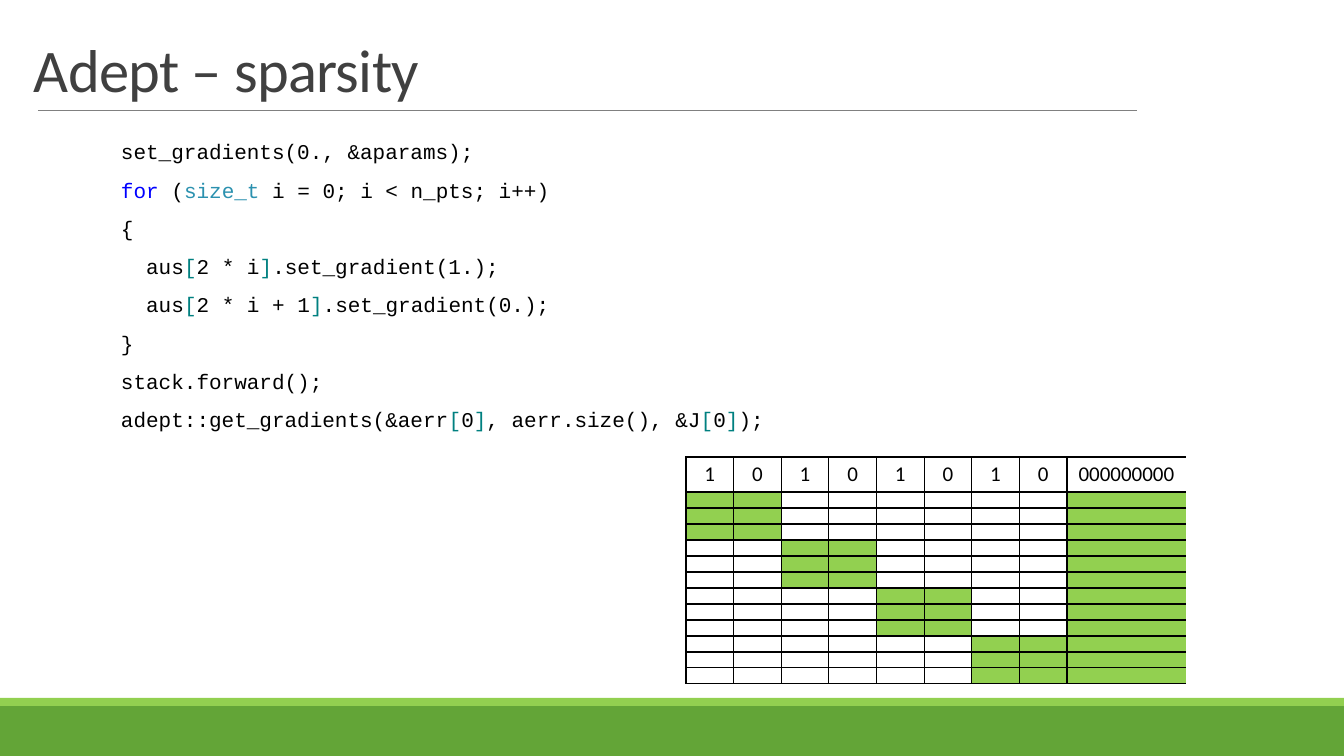
from dataclasses import dataclass

from lxml.etree import SubElement
from pptx import Presentation
from pptx.dml.color import RGBColor
from pptx.enum.shapes import MSO_CONNECTOR, MSO_SHAPE
from pptx.enum.text import MSO_ANCHOR, PP_ALIGN
from pptx.oxml.ns import qn
from pptx.util import Emu, Pt

EMU_PER_PX = 914400 / 100.8


@dataclass(frozen=True)
class Theme:
    heading: str = "404040"
    text: str = "000000"
    rule: str = "808080"
    dark_green: str = "63A537"
    light_green: str = "92D050"
    keyword: str = "0000FF"
    type_name: str = "2B91AF"
    bracket: str = "008080"
    sans: str = "Calibri"
    mono: str = "Courier New"
    title_size: float = 43.2
    body_size: float = 15
    empty_size: float = 6


@dataclass(frozen=True)
class Box:
    left: int
    top: int
    width: int
    height: int

    def emu(self) -> tuple[Emu, Emu, Emu, Emu]:
        return px(self.left), px(self.top), px(self.width), px(self.height)


@dataclass(frozen=True)
class Band:
    box: Box
    color: str


THEME = Theme()
BANDS = (
    Band(Box(0, 706, 1344, 50), THEME.dark_green),
    Band(Box(0, 698, 1344, 8), THEME.light_green),
)
TOKEN_COLORS = {
    "for ": THEME.keyword,
    "size_t": THEME.type_name,
    "[": THEME.bracket,
    "]": THEME.bracket,
}
CODE = """set_gradients(0., &aparams);
for (size_t i = 0; i < n_pts; i++)
{
  aus[2 * i].set_gradient(1.);
  aus[2 * i + 1].set_gradient(0.);
}
stack.forward();
adept::get_gradients(&aerr[0], aerr.size(), &J[0]);"""
SEED = ["1", "0"] * 4 + ["000000000"]
BLOCK_ROWS, BLOCK_COLS = 3, 2
POINT_COLS = len(SEED) - 1
DATA_ROWS = POINT_COLS // BLOCK_COLS * BLOCK_ROWS


def px(length: int) -> Emu:
    return Emu(round(length * EMU_PER_PX))


def style_run(r, font: str, size: float, color: str) -> None:
    r.font.name = font
    r.font.size = Pt(size)
    r.font.color.rgb = RGBColor.from_string(color)


def add_band(slide, band: Band) -> None:
    sp = slide.shapes.add_shape(MSO_SHAPE.RECTANGLE, *band.box.emu())
    sp.shadow.inherit = False
    sp.fill.solid()
    sp.fill.fore_color.rgb = RGBColor.from_string(band.color)
    sp.line.fill.background()


def add_rule(slide, left: int, right: int, y: int) -> None:
    line = slide.shapes.add_connector(
        MSO_CONNECTOR.STRAIGHT, px(left), px(y), px(right), px(y))
    line.line.color.rgb = RGBColor.from_string(THEME.rule)
    line.line.width = Pt(0.5)
    SubElement(line._element.spPr, qn("a:effectLst"))


def add_title(slide, text: str, box: Box) -> None:
    tf = slide.shapes.add_textbox(*box.emu()).text_frame
    tf.word_wrap = True
    tf.vertical_anchor = MSO_ANCHOR.BOTTOM
    tf.text = text
    p = tf.paragraphs[0]
    p.line_spacing = 0.85
    r = p.runs[0]
    style_run(r, THEME.sans, THEME.title_size, THEME.heading)
    r.font._element.set("spc", "-50")


def split_tokens(line: str) -> list[str]:
    """Cut a code line before and after every coloured token."""
    for token in TOKEN_COLORS:
        line = line.replace(token, f"\n{token}\n")
    return [part for part in line.split("\n") if part]


def add_code(slide, code: str, box: Box) -> None:
    tf = slide.shapes.add_textbox(*box.emu()).text_frame
    tf.word_wrap = True
    tf.margin_left = tf.margin_right = 0
    tf.margin_top = px(8)
    for i, line in enumerate(code.splitlines()):
        p = tf.add_paragraph() if i else tf.paragraphs[0]
        p.line_spacing = 0.74
        p.space_before = Pt(12 if i else 0)
        p.space_after = Pt(2)
        for token in split_tokens(line):
            r = p.add_run()
            r.text = token
            style_run(r, THEME.mono, THEME.body_size,
                      TOKEN_COLORS.get(token, THEME.text))


def set_borders(cell, open_right: bool) -> None:
    tc_pr = cell._tc.get_or_add_tcPr()
    for side in "LRTB":
        ln = SubElement(tc_pr, qn(f"a:ln{side}"), w=str(Pt(1)))
        if side == "R" and open_right:
            SubElement(ln, qn("a:noFill"))
        else:
            fill = SubElement(ln, qn("a:solidFill"))
            SubElement(fill, qn("a:srgbClr"), val=THEME.text)


def is_nonzero(row: int, col: int) -> bool:
    """Tell whether a cell lies in a diagonal block or the dense last column."""
    if row == 0:
        return False
    return col == POINT_COLS or (row - 1) // BLOCK_ROWS == col // BLOCK_COLS


def fill_cell(cell, row: int, col: int) -> None:
    cell.margin_left = cell.margin_right = 0
    cell.margin_top = cell.margin_bottom = 0
    cell.vertical_anchor = MSO_ANCHOR.MIDDLE
    set_borders(cell, open_right=col == POINT_COLS)
    if is_nonzero(row, col):
        cell.fill.solid()
        cell.fill.fore_color.rgb = RGBColor.from_string(THEME.light_green)
    else:
        cell.fill.background()
    p = cell.text_frame.paragraphs[0]
    if row == 0:
        p.text = SEED[col]
        p.alignment = PP_ALIGN.CENTER
        style_run(p.runs[0], THEME.sans, THEME.body_size, THEME.text)
    else:
        SubElement(p._p, qn("a:endParaRPr"), sz=str(round(THEME.empty_size * 100)))


def add_sparsity_table(slide, box: Box, header: int, points_width: int) -> None:
    table = slide.shapes.add_table(DATA_ROWS + 1, len(SEED), *box.emu()).table
    table.first_row = table.horz_banding = False
    for col, column in enumerate(table.columns):
        column.width = (px(box.width - points_width) if col == POINT_COLS
                        else Emu(px(points_width) // POINT_COLS))
    for row, table_row in enumerate(table.rows):
        table_row.height = px((box.height - header) // DATA_ROWS if row else header)
        for col, cell in enumerate(table_row.cells):
            fill_cell(cell, row, col)


def main() -> None:
    prs = Presentation()
    prs.slide_width, prs.slide_height = px(1344), px(756)
    slide = prs.slides.add_slide(prs.slide_layouts[6])
    for band in BANDS:
        add_band(slide, band)
    add_rule(slide, 38, 1137, 110)
    add_title(slide, "Adept – sparsity", Box(24, 31, 1206, 79))
    add_code(slide, CODE, Box(121, 137, 1109, 545))
    add_sparsity_table(slide, Box(686, 457, 500, 227), header=35, points_width=381)
    prs.save("out.pptx")


if __name__ == "__main__":
    main()
